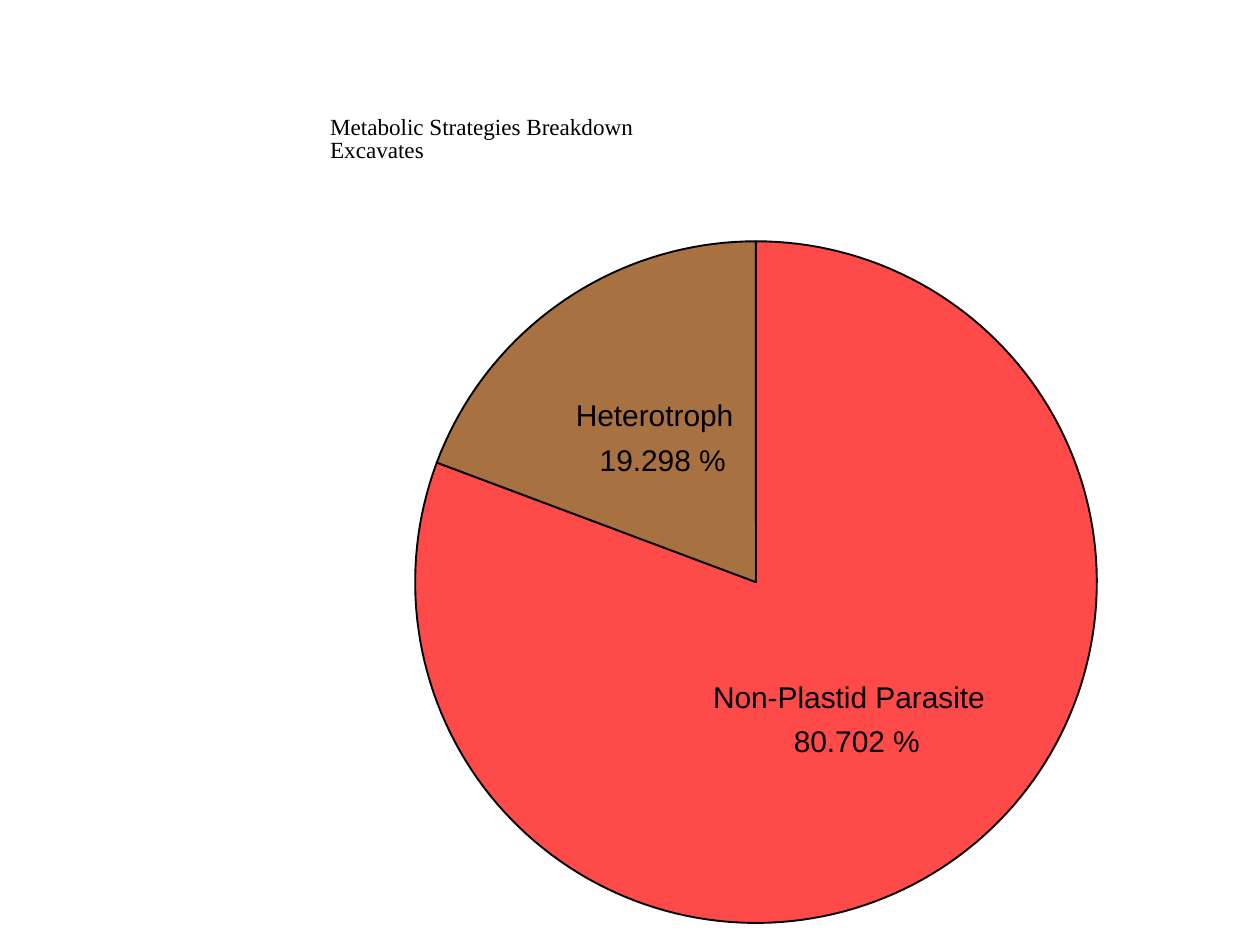
import math
import pptx
import pptx.util
import pptx.dml.color
import pptx.enum.text

WIDTH, HEIGHT = 10, 7.5
TITLE = ("Metabolic Strategies Breakdown Excavates", (2.62, 1.03, 3.19, 0.17))
SLICES = [
    {"share": 80.702, "fill": "FE4A49", "labels": [
        ("Non-Plastid Parasite", (5.66, 5.47, 2.23, 0.17)),
        ("80.702 %", (6.3, 5.81, 1, 0.18))]},
    {"share": 19.298, "fill": "A87142", "labels": [
        ("Heterotroph", (4.57, 3.2, 1.32, 0.22)),
        ("19.298 %", (4.76, 3.58, 1, 0.18))]},
]
CENTER_X, CENTER_Y, RADIUS = 0.6 * WIDTH, 0.616 * HEIGHT, 2.705
STEPS = 200
LABEL_FONT = {"name": "Arial", "size": pptx.util.Pt(17.1)}
TITLE_FONT = {"name": "Times New Roman", "size": pptx.util.Pt(13.2)}


def color(value):
    return pptx.dml.color.RGBColor.from_string(value)


def point(share):
    angle = 2 * math.pi * share / 100
    x = CENTER_X + RADIUS * math.sin(angle)
    y = CENTER_Y - RADIUS * math.cos(angle)
    return pptx.util.Inches(x), pptx.util.Inches(y)


def draw_slice(s, start, share, fill):
    steps = math.ceil(STEPS * share / 100)
    arc = [point(start + share * i / steps) for i in range(steps + 1)]
    builder = s.shapes.build_freeform(
        pptx.util.Inches(CENTER_X), pptx.util.Inches(CENTER_Y))
    builder.add_line_segments(arc, close=True)
    sp = builder.convert_to_shape()
    sp.shadow.inherit = False
    sp.fill.solid()
    sp.fill.fore_color.rgb = color(fill)
    sp.line.color.rgb = color("000000")
    sp.line.width = pptx.util.Pt(1.07)


def write(sp, text, box, font):
    for name, value in zip(("left", "top", "width", "height"), box):
        setattr(sp, name, pptx.util.Inches(value))
    tf = sp.text_frame
    frame = {"margin_left": 0, "margin_top": 0, "margin_right": 0,
             "margin_bottom": 0, "word_wrap": False,
             "auto_size": pptx.enum.text.MSO_AUTO_SIZE.NONE,
             "vertical_anchor": pptx.enum.text.MSO_ANCHOR.MIDDLE}
    for name, value in frame.items():
        setattr(tf, name, value)
    p = tf.paragraphs[0]
    p.alignment = pptx.enum.text.PP_ALIGN.LEFT
    p.line_spacing = font["size"]
    r = p.add_run()
    r.text = text
    for name, value in font.items():
        setattr(r.font, name, value)
    r.font.color.rgb = color("000000")


def main():
    prs = pptx.Presentation()
    prs.slide_width = pptx.util.Inches(WIDTH)
    prs.slide_height = pptx.util.Inches(HEIGHT)
    s = prs.slides.add_slide(prs.slide_layouts[5])
    write(s.shapes.title, *TITLE, TITLE_FONT)
    start = 0
    for item in SLICES:
        draw_slice(s, start, item["share"], item["fill"])
        start += item["share"]
    for item in SLICES:
        for text, box in item["labels"]:
            write(s.shapes.add_textbox(0, 0, 0, 0), text, box, LABEL_FONT)
    prs.save("out.pptx")


if __name__ == "__main__":
    main()
